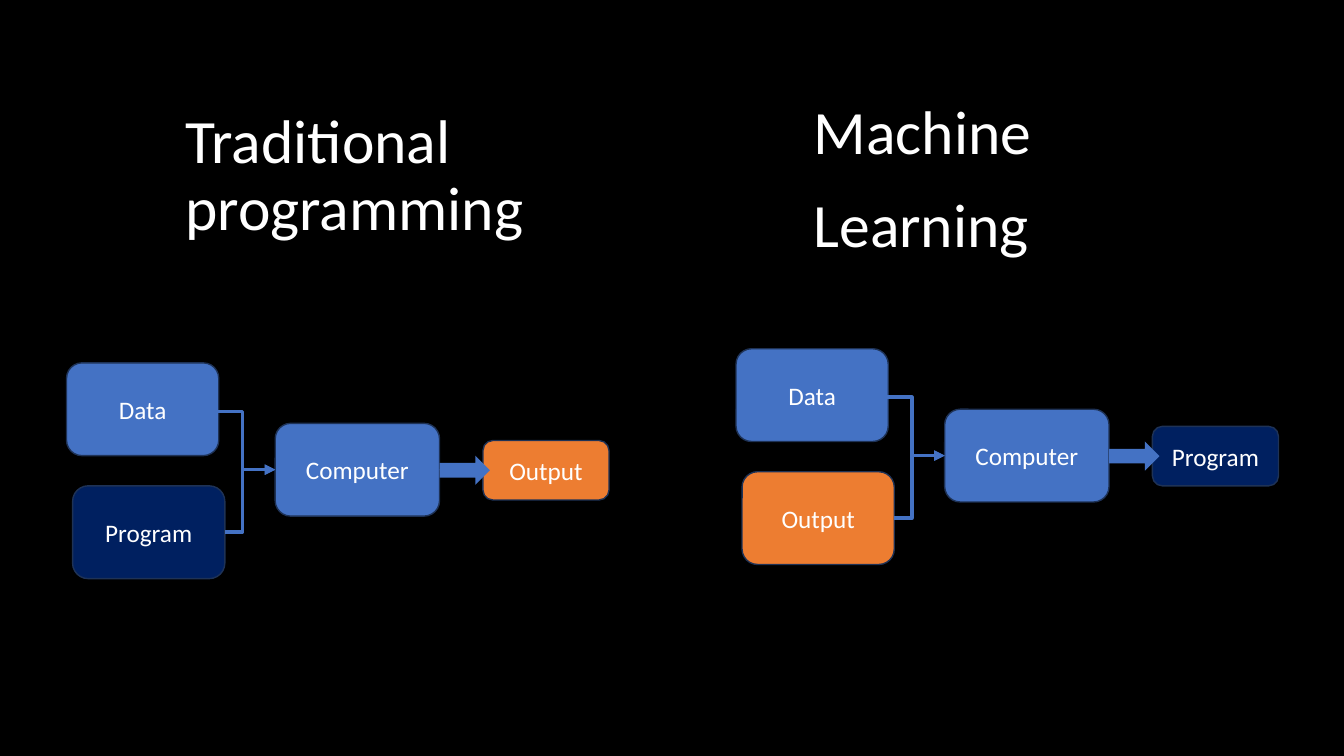
from lxml import etree
from pptx import Presentation
from pptx.dml.color import RGBColor
from pptx.enum import shapes, text
from pptx.oxml import ns
from pptx.util import Emu, Pt

PX = 9144  # 100 px to the inch
FONT = "Calibri"
COLORS = {
    "background": "000000",
    "text": "FFFFFF",
    "blue": "4472C4",
    "orange": "ED7D31",
    "navy": "002060",
    "outline": "1E3256",
}


def px(*lengths):
    return [Emu(length * PX) for length in lengths]


def color(name):
    return RGBColor.from_string(COLORS[name])


def write_text(shape, content, size=18, align=None, line_spacing=None):
    frame = shape.text_frame
    frame.word_wrap = True
    frame.vertical_anchor = text.MSO_ANCHOR.MIDDLE
    frame.text = content
    paragraph = frame.paragraphs[0]
    paragraph.alignment = align
    paragraph.line_spacing = line_spacing
    for run in paragraph.runs:
        run.font.name = FONT
        run.font.size = Pt(size)
        run.font.color.rgb = color("text")


def add_heading(slide, box, content):
    heading = slide.shapes.add_textbox(*px(*box))
    write_text(heading, content, size=44, align=text.PP_ALIGN.LEFT, line_spacing=0.9)


def add_block(slide, box, label, fill):
    block = slide.shapes.add_shape(shapes.MSO_SHAPE.ROUNDED_RECTANGLE, *px(*box))
    block.shadow.inherit = False
    block.fill.solid()
    block.fill.fore_color.rgb = color(fill)
    block.line.color.rgb = color("outline")
    block.line.width = Pt(1)
    write_text(block, label, align=text.PP_ALIGN.CENTER)
    return block


def add_arrow_line(slide, kind, ends, width, bend=None):
    connector = slide.shapes.add_connector(kind, *px(*ends))
    connector.line.color.rgb = color("blue")
    connector.line.width = Pt(width)
    properties = connector._element.spPr
    line = properties.find(ns.qn("a:ln"))
    etree.SubElement(line, ns.qn("a:tailEnd"), type="triangle")
    etree.SubElement(properties, ns.qn("a:effectLst"))
    if bend is not None:
        adjustments = properties.find(ns.qn("a:prstGeom")).get_or_add_avLst()
        etree.SubElement(adjustments, ns.qn("a:gd"), name="adj1", fmla=f"val {bend}")
    return connector


def add_flow(slide, left, top, second_input, result):
    """Two inputs feed the computer, which gives one result."""
    # Blocks
    add_block(slide, (left, top, 151, 92), "Data", "blue")
    add_block(slide, (left + 6, top + 122, 151, 92), *second_input)
    computer = add_block(slide, (left + 207, top + 60, 163, 92), "Computer", "blue")
    output = add_block(slide, (left + 413, top + 77, 125, 59), *result)

    # Thin line under the block arrow
    middle = top + 106
    link = add_arrow_line(slide, shapes.MSO_CONNECTOR.STRAIGHT,
                          (left + 370, middle, left + 413, middle), 0.5)
    link.begin_connect(computer, 3)
    link.end_connect(output, 1)

    # Block arrow
    arrow = slide.shapes.add_shape(shapes.MSO_SHAPE.RIGHT_ARROW,
                                   *px(left + 370, top + 92, 50, 29))
    arrow.shadow.inherit = False
    arrow.fill.solid()
    arrow.fill.fore_color.rgb = color("blue")
    arrow.line.fill.background()

    # Bent lines from the inputs, meeting on one upright
    for start_x, start_y, bend in ((142, 48, 50000), (157, 168, 35000)):
        add_arrow_line(slide, shapes.MSO_CONNECTOR.ELBOW,
                       (left + start_x, top + start_y, left + 207, middle), 2.5, bend)


def build_comparison(slide):
    slide.background.fill.solid()
    slide.background.fill.fore_color.rgb = color("background")

    # Headings
    add_heading(slide, (797, 107, 241, 145), "Machine \vLearning")
    add_heading(slide, (174, 103, 362, 145), "Traditional \vprogramming")

    # Flows: program and output trade places
    program, output = ("Program", "navy"), ("Output", "orange")
    add_flow(slide, 730, 346, second_input=output, result=program)
    add_flow(slide, 66, 360, second_input=program, result=output)


def main():
    presentation = Presentation()
    presentation.slide_width, presentation.slide_height = px(1333, 750)
    build_comparison(presentation.slides.add_slide(presentation.slide_layouts[6]))
    presentation.save("out.pptx")


if __name__ == "__main__":
    main()
